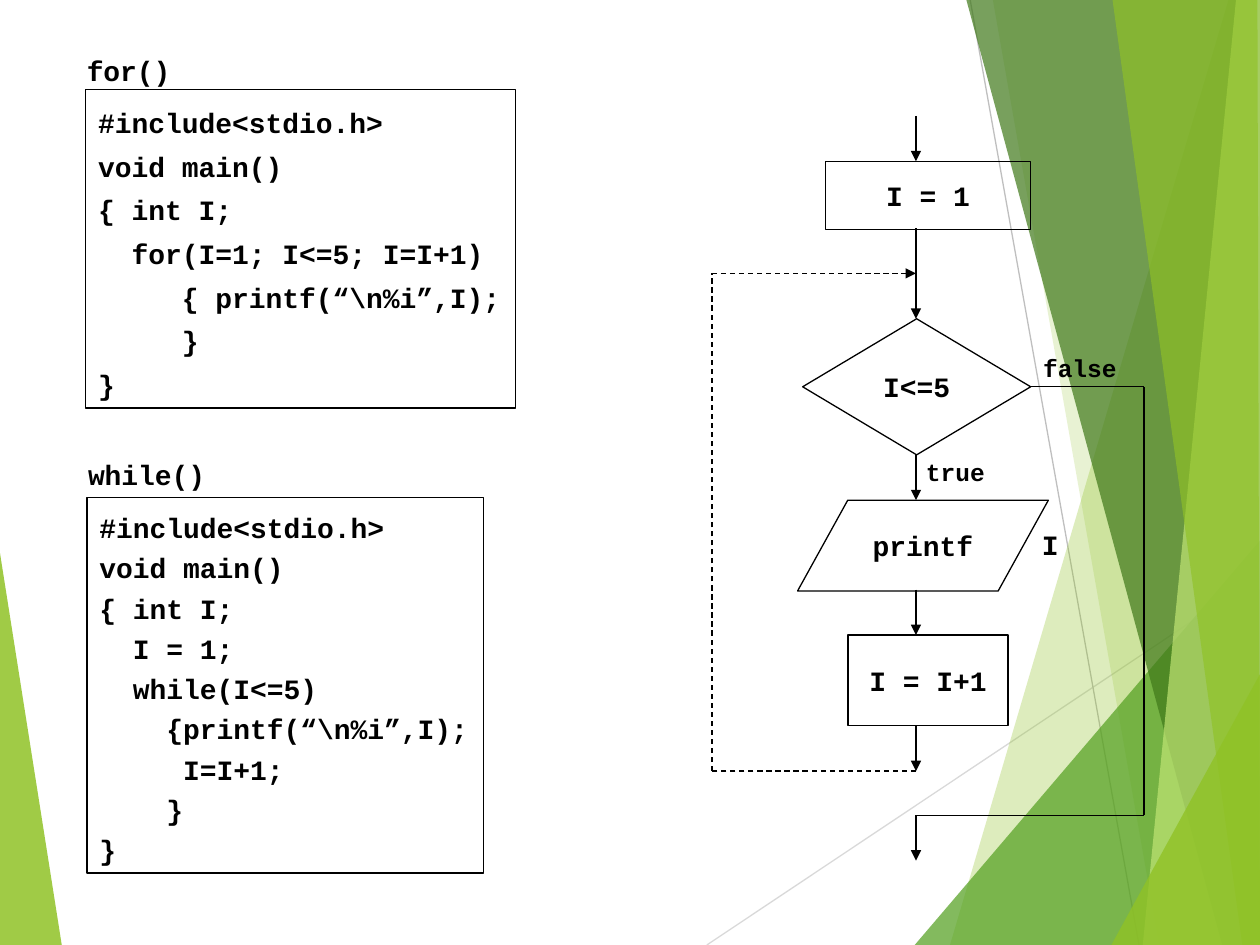
from lxml import etree
from pptx import Presentation
from pptx.dml.color import RGBColor
from pptx.enum import dml, shapes, text
from pptx.oxml.ns import qn
from pptx.util import Inches, Pt

BLACK = "000000"
FONT = "Courier New"
FLOW_X = 7.27
LOOP_X = 5.65
EXIT_X = 9.08

# Outline points, colour, opacity in percent
LEFT_FACET = ([(0, 4.39), (0.49, 7.5), (0, 7.5)], "90C226", 85)
RIGHT_FACETS = [
    ([(9.75, 0), (7.54, 7.5), (10, 7.5), (10, 0)], "90C226", 30),
    ([(7.88, 0), (9.2, 7.5), (10, 7.5), (10, 0)], "90C226", 20),
    ([(7.26, 7.5), (10, 4.29), (10, 7.5)], "54A021", 72),
    ([(7.67, 0), (9.7, 7.5), (10, 7.5), (10, 0)], "3F7819", 70),
    ([(9.81, 0), (9.07, 7.5), (10, 7.5), (10, 0)], "C0E474", 70),
    ([(8.83, 0), (9.86, 7.5), (10, 7.5), (9.98, 0)], "90C226", 65),
    ([(8.82, 7.5), (10, 5.35), (10, 7.5)], "90C226", 80),
]

FOR_CODE = """#include<stdio.h>
void main()
{ int I;
  for(I=1; I<=5; I=I+1)
     { printf(“\\n%i”,I);
     }
}"""

WHILE_CODE = """#include<stdio.h>
void main()
{ int I;
  I = 1;
  while(I<=5)
    {printf(“\\n%i”,I);
     I=I+1;
    }
}"""


def color(hex_string):
    return RGBColor.from_string(hex_string)


def add_facet(slide, points, fill, opacity):
    """Draw one translucent polygon of the backdrop."""
    corners = [(Inches(x), Inches(y)) for x, y in points]
    builder = slide.shapes.build_freeform(*corners[0], scale=1.0)
    builder.add_line_segments(corners[1:], close=True)
    shape = builder.convert_to_shape()
    shape.shadow.inherit = False
    shape.line.fill.background()
    shape.fill.solid()
    shape.fill.fore_color.rgb = color(fill)
    tint = shape.fill._xPr.find(".//" + qn("a:srgbClr"))
    etree.SubElement(tint, qn("a:alpha"), val=str(opacity * 1000))


def add_line(slide, start, end, line_color=BLACK, width=0.75, dashed=False, arrow=False):
    ends = [Inches(value) for value in (*start, *end)]
    connector = slide.shapes.add_connector(shapes.MSO_CONNECTOR.STRAIGHT, *ends)
    connector.line.color.rgb = color(line_color)
    connector.line.width = Pt(width)
    if dashed:
        connector.line.dash_style = dml.MSO_LINE.DASH
    if arrow:
        etree.SubElement(connector.line._get_or_add_ln(), qn("a:tailEnd"), type="triangle")
    etree.SubElement(connector._element.spPr, qn("a:effectLst"))


def add_polyline(slide, points, dashed=False):
    for start, end in zip(points, points[1:]):
        add_line(slide, start, end, dashed=dashed)


def set_text(shape, content, size=16, align=text.PP_ALIGN.LEFT, spacing=None):
    frame = shape.text_frame
    frame.text = content
    frame.word_wrap = False
    for paragraph in frame.paragraphs:
        paragraph.alignment = align
        paragraph.line_spacing = spacing
        for run in paragraph.runs:
            run.font.name = FONT
            run.font.size = Pt(size)
            run.font.bold = True
            run.font.color.rgb = color(BLACK)


def add_outline(slide, kind, box):
    shape = slide.shapes.add_shape(kind, *map(Inches, box))
    shape.shadow.inherit = False
    shape.fill.background()
    shape.line.color.rgb = color(BLACK)
    shape.line.width = Pt(0.75)
    return shape


def add_flow_step(slide, kind, box, content):
    shape = add_outline(slide, kind, box)
    set_text(shape, content, align=text.PP_ALIGN.CENTER)
    shape.text_frame.vertical_anchor = text.MSO_ANCHOR.MIDDLE


def add_code(slide, box, content, spacing):
    shape = add_outline(slide, shapes.MSO_SHAPE.RECTANGLE, box)
    set_text(shape, content, spacing=spacing)
    shape.text_frame.vertical_anchor = text.MSO_ANCHOR.TOP
    shape.text_frame.auto_size = text.MSO_AUTO_SIZE.SHAPE_TO_FIT_TEXT


def add_label(slide, box, content, size=16):
    label = slide.shapes.add_textbox(*map(Inches, box))
    set_text(label, content, size)
    label.text_frame.auto_size = text.MSO_AUTO_SIZE.SHAPE_TO_FIT_TEXT


def add_backdrop(slide):
    add_facet(slide, *LEFT_FACET)
    add_line(slide, (5.61, 7.5), (10, 4.57), "D9D9D9")
    add_line(slide, (7.7, 0), (9.04, 7.5), "BFBFBF")
    for facet in RIGHT_FACETS:
        add_facet(slide, *facet)


def add_flowchart(slide):
    kinds = shapes.MSO_SHAPE
    add_flow_step(slide, kinds.FLOWCHART_DECISION, (6.37, 2.53, 1.81, 1.08), "I<=5")
    add_flow_step(slide, kinds.RECTANGLE, (6.55, 1.28, 1.63, 0.54), "I = 1")
    add_flow_step(slide, kinds.RECTANGLE, (6.73, 5.04, 1.27, 0.72), "I = I+1")
    add_flow_step(slide, kinds.FLOWCHART_DATA, (6.33, 3.97, 1.99, 0.72), "printf")
    add_label(slide, (8.17, 4.14, 0.35, 0.37), "I")

    for top, bottom in [(0.92, 1.28), (1.81, 2.53), (3.61, 3.97),
                        (4.68, 5.04), (5.76, 6.12), (6.47, 6.83)]:
        add_line(slide, (FLOW_X, top), (FLOW_X, bottom), width=1, arrow=True)

    add_polyline(slide, [(FLOW_X, 6.12), (LOOP_X, 6.12), (LOOP_X, 2.17)], dashed=True)
    add_line(slide, (LOOP_X, 2.17), (FLOW_X, 2.17), dashed=True, arrow=True)
    add_polyline(slide, [(8.18, 3.07), (EXIT_X, 3.07), (EXIT_X, 6.47), (FLOW_X, 6.47)])

    add_label(slide, (8.18, 2.75, 0.81, 0.34), "false", 14)
    add_label(slide, (7.25, 3.58, 0.69, 0.34), "true", 14)


def main():
    presentation = Presentation()
    presentation.slide_width = Inches(10)
    presentation.slide_height = Inches(7.5)
    slide = presentation.slides.add_slide(presentation.slide_layouts[6])

    add_backdrop(slide)
    add_code(slide, (0.68, 0.71, 3.41, 2.53), FOR_CODE, 1.3)
    add_flowchart(slide)
    add_code(slide, (0.69, 3.95, 3.15, 2.98), WHILE_CODE, 1.2)
    add_label(slide, (0.59, 0.38, 0.89, 0.37), "for()")
    add_label(slide, (0.6, 3.58, 1.15, 0.37), "while()")
    presentation.save("out.pptx")


if __name__ == "__main__":
    main()
